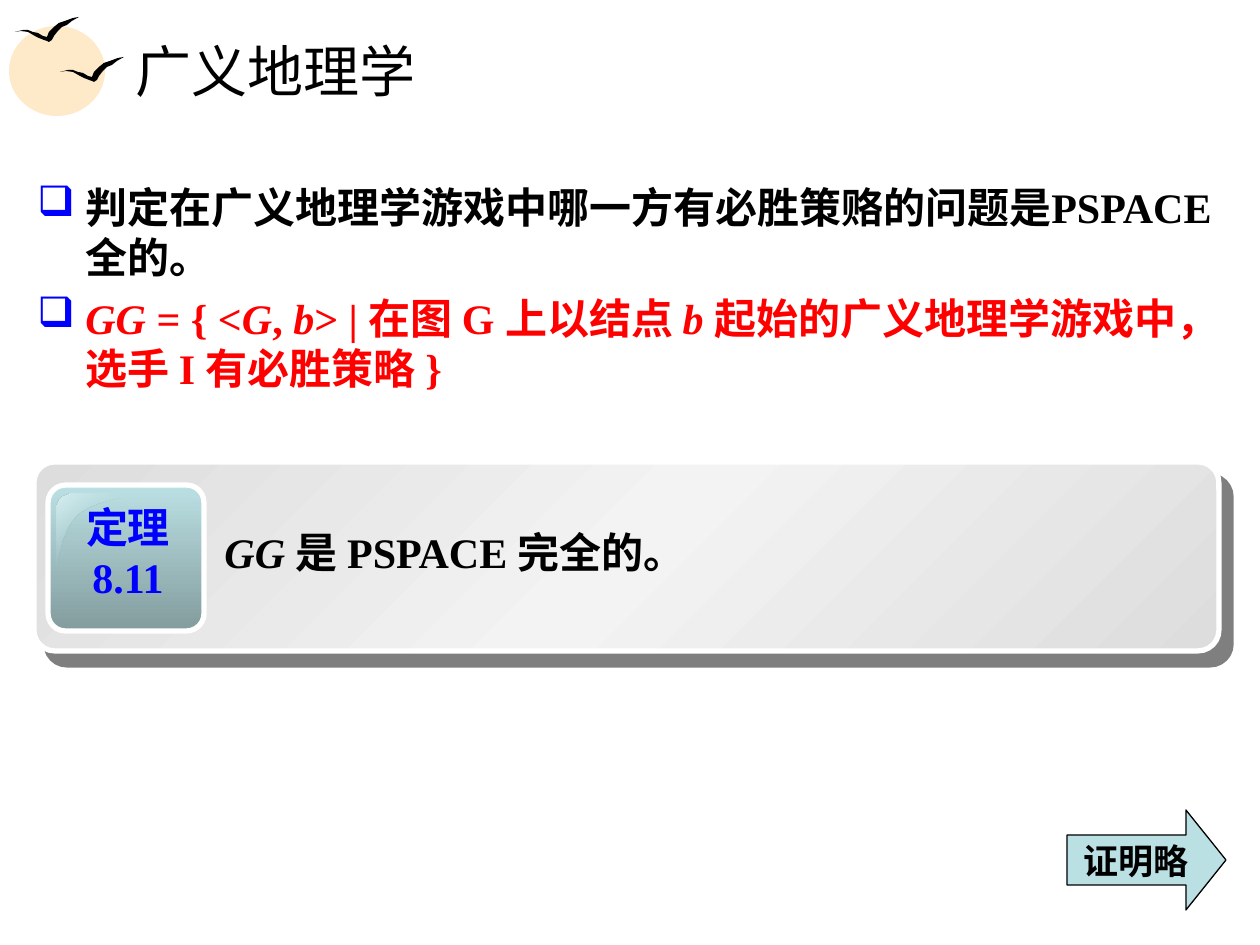
import lxml.etree
import pptx
import pptx.dml.color
import pptx.enum.shapes
import pptx.enum.text
import pptx.oxml.ns
import pptx.util

PX = 914400 / 126
SERIF = "Times New Roman"
KIND = pptx.enum.shapes.MSO_SHAPE
ALIGN = pptx.enum.text.PP_ALIGN
MID = pptx.enum.text.MSO_ANCHOR.MIDDLE
BIRD = [(0, 15), (4, 14), (8, 13), (13, 13), (18, 15), (23, 16), (28, 19),
        (32, 20), (34, 15), (39, 10), (44, 6), (50, 4), (58, 1), (64, 0),
        (57, 4), (52, 8), (47, 10), (43, 14), (39, 19), (37, 23), (34, 25),
        (32, 24), (29, 23), (24, 21), (20, 19), (13, 15), (6, 14)]


def px(num):
    return pptx.util.Emu(round(num * PX))


def tint(text):
    return pptx.dml.color.RGBColor.from_string(text)


def node(root, tag, **attrs):
    item = lxml.etree.SubElement(root, pptx.oxml.ns.qn(tag))
    for key, val in attrs.items():
        item.set(key, str(val))
    return item


def shade(root, color, alpha):
    item = node(root, "a:srgbClr", val=color)
    if alpha < 100:
        node(item, "a:alpha", val=alpha * 1000)


def paint(shape, fill, line=None, width=0):
    shape.shadow.inherit = False
    shape.fill.solid()
    shape.fill.fore_color.rgb = tint(fill)
    if line:
        shape.line.color.rgb = tint(line)
        shape.line.width = pptx.util.Pt(width)
    else:
        shape.line.fill.background()


def blend(shape, stops, angle):
    shape.fill.gradient()
    shape.fill.gradient_angle = 360 - angle
    root = shape._element.spPr.find(".//" + pptx.oxml.ns.qn("a:gsLst"))
    for old in list(root):
        root.remove(old)
    for pos, color, alpha in stops:
        shade(node(root, "a:gs", pos=pos * 1000), color, alpha)


def shadow(shape, color, alpha, dist, angle):
    root = shape._element.spPr.find(pptx.oxml.ns.qn("a:effectLst"))
    item = node(root, "a:outerShdw", blurRad=0, dist=pptx.util.Pt(dist),
                dir=angle * 60000, algn="ctr", rotWithShape=0)
    shade(item, color, alpha)


def block(slide, kind, box, fill, line=None, width=0, adjust=()):
    shape = slide.shapes.add_shape(kind, *map(px, box))
    paint(shape, fill, line, width)
    for num, val in enumerate(adjust):
        shape.adjustments[num] = val
    return shape


def outline(slide, points, fill):
    pen = slide.shapes.build_freeform(*points[0], scale=PX)
    pen.add_line_segments(points[1:], close=True)
    shape = pen.convert_to_shape()
    paint(shape, fill)
    return shape


def curve(a, b, c, d, steps=10):
    points = []
    for step in range(steps + 1):
        t = step / steps
        u = 1 - t
        points.append(tuple(
            u**3 * p + 3 * u * u * t * q + 3 * u * t * t * r + t**3 * s
            for p, q, r, s in zip(a, b, c, d)))
    return points


def field(slide, box):
    frame = slide.shapes.add_textbox(*map(px, box)).text_frame
    frame.word_wrap = True
    return frame


def write(par, runs, size, color, bold=True, face=SERIF):
    for text, slant in runs:
        run = par.add_run()
        run.text = text
        font = run.font
        font.name = face
        font.size = pptx.util.Pt(size)
        font.bold = bold
        font.italic = slant
        font.color.rgb = tint(color)


def hang(par, size, space):
    props = par._p.get_or_add_pPr()
    props.set("marL", str(px(size)))
    props.set("indent", str(px(-size)))
    par.space_before = pptx.util.Pt(space)
    return props


def bullet(par, color):
    props = hang(par, 48, 6)
    shade(node(props, "a:buClr"), color, 100)
    node(props, "a:buChar", char="❑")


def header(slide):
    for box in ((9, 26, 96, 90), (25, 35, 80, 70)):
        block(slide, KIND.OVAL, box, "FEE9C8")
    for left, top in ((60, 57), (15, 17)):
        outline(slide, [(left + x, top + y) for x, y in BIRD], "000000")
    frame = field(slide, (123, 27, 1075, 87))
    frame.vertical_anchor = MID
    write(frame.paragraphs[0], [("广义地理学", False)], 32, "000000", False)


def body(slide):
    frame = field(slide, (25, 175, 1211, 238))
    par = frame.paragraphs[0]
    bullet(par, "0000FF")
    write(par, [("判定在广义地理学游戏中哪一方有必胜策赂的问题是PSPACE全的。", False)],
          24, "000000")
    par = frame.add_paragraph()
    bullet(par, "0000FF")
    write(par, [("GG", True), (" = { <", False), ("G", True), (", ", False),
                ("b", True), ("> | 在图 G 上以结点 ", False), ("b ", True),
                ("起始的广义地理学游戏中，选手 I 有必胜策略 }", False)],
          24, "FF0000")


def theorem(slide):
    panel = block(slide, KIND.ROUNDED_RECTANGLE, (34, 462, 1185, 189),
                  "DDDDDD", "FFFFFF", 3, [0.11])
    blend(panel, [(0, "DDDDDD", 100), (50, "F3F3F3", 100),
                  (100, "DDDDDD", 100)], 45)
    shadow(panel, "000000", 50, 10.6, 49)
    badge = block(slide, KIND.ROUNDED_RECTANGLE, (48, 485, 156, 146),
                  "BBE0E3", "FFFFFF", 3, [0.12])
    blend(badge, [(0, "BBE0E3", 100), (100, "839C9E", 100)], 90)
    edge = (curve((73, 494), (64, 494), (57, 500), (57, 509))
            + curve((57, 566), (60, 567), (59, 532), (78, 515))
            + curve((78, 515), (97, 499), (135, 498), (134, 494)))
    gloss = outline(slide, edge, "DAEEF0")
    blend(gloss, [(0, "DAEEF0", 100), (50, "BBE0E3", 0),
                  (100, "DAEEF0", 100)], 45)
    par = field(slide, (69, 495, 118, 113)).paragraphs[0]
    par.alignment = ALIGN.CENTER
    write(par, [("定理8.11", False)], 24, "0000FF")
    par = field(slide, (212, 513, 953, 71)).paragraphs[0]
    hang(par, 60, 4.5)
    par.line_spacing = 1.15
    write(par, [("GG ", True), ("是 PSPACE 完全的。", False)], 24, "000000")


def arrow(slide):
    shape = block(slide, KIND.RIGHT_ARROW, (1067, 810, 159, 100),
                  "BBE0E3", "000000", 0.75, [0.5, 0.4])
    frame = shape.text_frame
    frame.word_wrap = False
    frame.vertical_anchor = MID
    par = frame.paragraphs[0]
    par.alignment = ALIGN.CENTER
    write(par, [("证明略", False)], 20, "000000", face="Arial")


def main():
    deck = pptx.Presentation()
    deck.slide_width, deck.slide_height = px(1260), px(945)
    slide = deck.slides.add_slide(deck.slide_layouts[6])
    header(slide)
    body(slide)
    theorem(slide)
    arrow(slide)
    deck.save("out.pptx")


if __name__ == "__main__":
    main()
